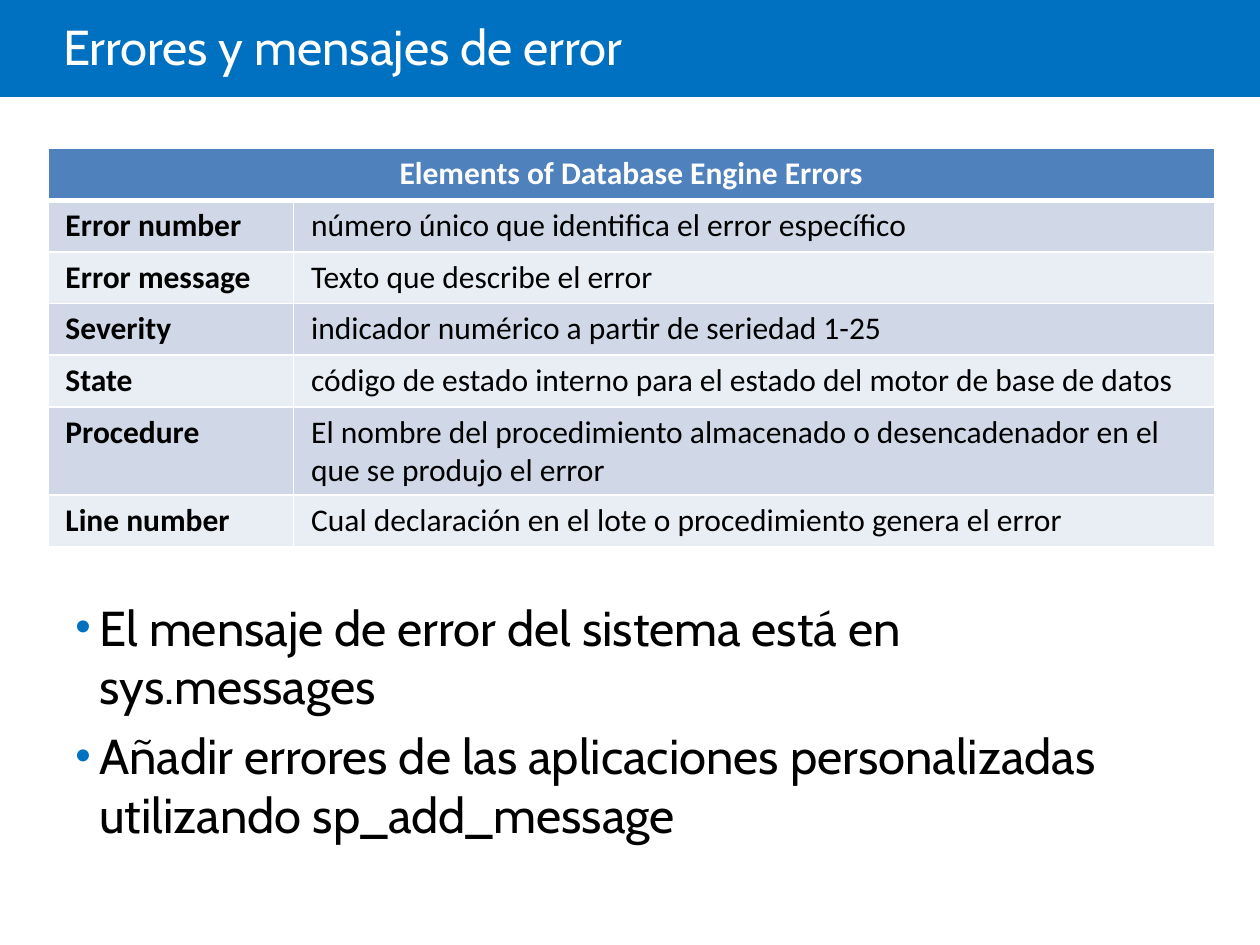
from typing import NamedTuple

from lxml import etree
from pptx import Presentation
from pptx.dml.color import RGBColor
from pptx.enum.shapes import MSO_SHAPE
from pptx.enum.text import MSO_ANCHOR, MSO_AUTO_SIZE, PP_ALIGN
from pptx.oxml.ns import qn
from pptx.util import Inches, Pt

RECT = MSO_SHAPE.RECTANGLE
TOP, MIDDLE = MSO_ANCHOR.TOP, MSO_ANCHOR.MIDDLE
LEFT, CENTER = PP_ALIGN.LEFT, PP_ALIGN.CENTER
NO_FIT = MSO_AUTO_SIZE.NONE

WIDE, HIGH = 10, 7.5
BLUE, HEAD, WHITE, BLACK = "0070C0", "4F81BD", "FFFFFF", "000000"
BANDS = ("D0D8E8", "E9EDF4")
COLS = (1.95, 7.31)
ROW = 0.41
THIN, THICK = 1, 3


class Box(NamedTuple):
    left: float
    top: float
    width: float
    height: float

    def inches(self) -> list:
        return [Inches(size) for size in self]


class Part(NamedTuple):
    name: str
    text: str


BAND = Box(0, 0, WIDE, 0.77)
TITLE = Box(0.5, 0, 0.85 * WIDE, 0.81)
NOTES = Box(0.5, 4.69, 8.88, 2.06)

PARTS = (
    Part("Error number", "número único que identifica el error específico"),
    Part("Error message", "Texto que describe el error"),
    Part("Severity", "indicador numérico a partir de seriedad 1-25"),
    Part("State", "código de estado interno para el estado del motor de base de datos"),
    Part("Procedure", "El nombre del procedimiento almacenado o desencadenador "
                      "en el que se produjo el error"),
    Part("Line number", "Cual declaración en el lote o procedimiento genera el error"),
)
POINTS = (
    "El mensaje de error del sistema está en sys.messages",
    "Añadir errores de las aplicaciones personalizadas utilizando sp_add_message",
)
GRID = Box(0.38, 1.18, sum(COLS), ROW * (len(PARTS) + 1))


def color(code: str) -> RGBColor:
    return RGBColor.from_string(code)


def style(para, face: str, size: float, code: str, bold: bool = False) -> None:
    font = para.font
    font.name, font.size, font.bold = face, Pt(size), bold
    font.color.rgb = color(code)


def add_xml(parent, tag: str, **attrs: str):
    return etree.SubElement(parent, qn(tag), attrs)


def add_bullet(para) -> None:
    props = para._p.get_or_add_pPr()
    indent = Inches(0.19)
    props.set("marL", str(indent))
    props.set("indent", str(-indent))
    add_xml(add_xml(props, "a:buClr"), "a:srgbClr", val=BLUE)
    add_xml(props, "a:buSzPct", val="90000")
    add_xml(props, "a:buFont", typeface="Arial")
    add_xml(props, "a:buChar", char="•")


def add_edges(cell, top: float, bottom: float) -> None:
    props = cell._tc.get_or_add_tcPr()
    for side, width in (("L", THIN), ("R", THIN), ("T", top), ("B", bottom)):
        line = add_xml(props, f"a:ln{side}", w=str(Pt(width)))
        add_xml(add_xml(line, "a:solidFill"), "a:srgbClr", val=WHITE)


def fill_cell(cell, text: str, back: str, ink: str, bold: bool,
              top: float = THIN, bottom: float = THIN) -> None:
    cell.margin_left = cell.margin_right = Inches(0.14)
    cell.margin_top = cell.margin_bottom = Inches(0.05)
    add_edges(cell, top, bottom)
    cell.fill.solid()
    cell.fill.fore_color.rgb = color(back)
    cell.text = text
    style(cell.text_frame.paragraphs[0], "Calibri", 18, ink, bold)


def add_title(slide) -> None:
    band = slide.shapes.add_shape(RECT, *BAND.inches())
    band.shadow.inherit = False
    band.fill.solid()
    band.fill.fore_color.rgb = color(BLUE)
    band.line.fill.background()
    title = slide.shapes.title
    title._element.addprevious(band._element)
    title.left, title.top, title.width, title.height = TITLE.inches()
    frame = title.text_frame
    frame.text = "Errores y mensajes de error"
    frame.auto_size = NO_FIT
    frame.vertical_anchor = MIDDLE
    frame.margin_left = 0
    para = frame.paragraphs[0]
    para.alignment, para.line_spacing = LEFT, 0.85
    style(para, "Cabin", 28, WHITE)


def add_grid(slide) -> None:
    table = slide.shapes.add_table(len(PARTS) + 1, len(COLS), *GRID.inches()).table
    for col, width in zip(table.columns, COLS):
        col.width = Inches(width)
    for row in table.rows:
        row.height = Inches(ROW)
    head = table.cell(0, 0)
    head.merge(table.cell(0, 1))
    fill_cell(head, "Elements of Database Engine Errors", HEAD, WHITE, True, bottom=THICK)
    head.text_frame.paragraphs[0].alignment = CENTER
    for row, part in enumerate(PARTS, 1):
        top = THICK if row == 1 else THIN
        for col, text in enumerate(part):
            fill_cell(table.cell(row, col), text, BANDS[(row - 1) % 2], BLACK, col == 0, top)


def add_points(slide) -> None:
    frame = slide.shapes.add_textbox(*NOTES.inches()).text_frame
    frame.word_wrap = True
    frame.vertical_anchor = TOP
    for rank, text in enumerate(POINTS):
        para = frame.add_paragraph() if rank else frame.paragraphs[0]
        para.text = text
        para.space_before = Pt(6)
        style(para, "Cabin", 28, BLACK)
        add_bullet(para)


def main() -> None:
    deck = Presentation()
    deck.slide_width, deck.slide_height = Inches(WIDE), Inches(HIGH)
    slide = deck.slides.add_slide(deck.slide_layouts[5])
    add_title(slide)
    add_points(slide)
    add_grid(slide)
    deck.save("out.pptx")


if __name__ == "__main__":
    main()
